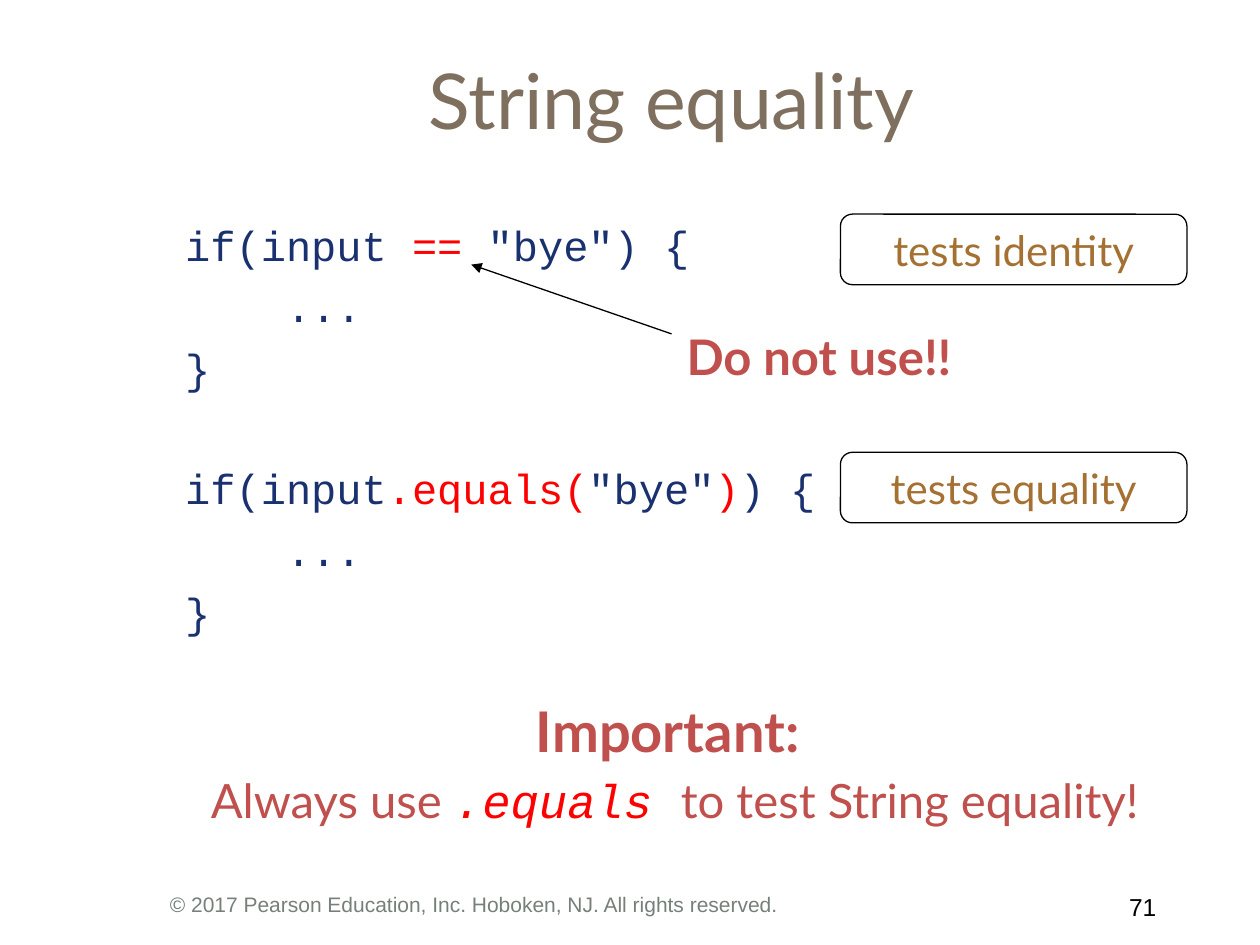
from dataclasses import dataclass

from lxml import etree
from pptx import Presentation
from pptx.dml.color import RGBColor as RGB
from pptx.enum.shapes import MSO_CONNECTOR as CONN, MSO_SHAPE as SHAPE
from pptx.enum.text import MSO_ANCHOR as ANCHOR, PP_ALIGN as ALIGN
from pptx.oxml.ns import qn
from pptx.util import Inches, Pt


@dataclass(frozen=True)
class Theme:
    """Fonts, colours and type sizes."""
    text: str = "Lato"
    code: str = "Courier New"
    small: str = "Arial"
    title: RGB = RGB.from_string("7F6F5E")
    navy: RGB = RGB.from_string("1A3170")
    red: RGB = RGB.from_string("FF0000")
    warning: RGB = RGB.from_string("C0504D")
    label: RGB = RGB.from_string("A57133")
    grey: RGB = RGB.from_string("76807A")
    black: RGB = RGB.from_string("000000")
    title_size: int = 44
    heading_size: int = 32
    callout_size: int = 28
    advice_size: int = 27
    body_size: int = 24
    number_size: int = 14
    footer_size: int = 12


T = Theme()
CODE_GAP, BLOCK_GAP, ADVICE_GAP = 6.4, 40, 34.6
CODE = [
    (0, [("if(input ", T.navy), ("==", T.red), (' "bye") {', T.navy)]),
    (CODE_GAP, [("    ...", T.navy)]),
    (CODE_GAP, [("}", T.navy)]),
    (BLOCK_GAP, [("if(input", T.navy), (".equals(", T.red), ('"bye"', T.navy),
                 (")", T.red), (") {", T.navy)]),
    (CODE_GAP, [("    ...", T.navy)]),
    (CODE_GAP, [("}", T.navy)]),
]


def set_font(font, name, size, color, bold=False):
    """Set name, size, colour and weight of a font."""
    font.name, font.size, font.bold = name, Pt(size), bold
    font.color.rgb = color


def add_box(s, box):
    """Add a wrapping text box and return its text frame."""
    tf = s.shapes.add_textbox(*map(Inches, box)).text_frame
    tf.word_wrap = True
    return tf


def add_line(s, box, text, name, size, color, bold=False, align=ALIGN.LEFT):
    """Add a text box with a single paragraph."""
    p = add_box(s, box).paragraphs[0]
    p.text, p.alignment = text, align
    set_font(p.font, name, size, color, bold)


def add_title(s, box, text):
    """Place and format the title placeholder."""
    sp = s.shapes.title
    sp.left, sp.top, sp.width, sp.height = map(Inches, box)
    tf = sp.text_frame
    tf.vertical_anchor = ANCHOR.MIDDLE
    p = tf.paragraphs[0]
    p.text, p.alignment = text, ALIGN.CENTER
    set_font(p.font, T.text, T.title_size, T.title)


def add_body(s, box):
    """Add both code blocks and the advice below them."""
    tf = add_box(s, box)
    tf.margin_left, tf.margin_right = Inches(0.14), Inches(0.26)
    p = tf.paragraphs[0]
    for i, (gap, parts) in enumerate(CODE):
        p = tf.add_paragraph() if i else p
        p.space_before = Pt(gap)
        p.font.name, p.font.size = T.code, Pt(T.body_size)
        for text, color in parts:
            r = p.add_run()
            r.text = text
            r.font.color.rgb = color
    p = tf.add_paragraph()
    p.text, p.alignment, p.space_before = "Important: ", ALIGN.CENTER, Pt(ADVICE_GAP)
    set_font(p.font, T.text, T.heading_size, T.warning, True)
    p = tf.add_paragraph()
    p.alignment, p.space_before = ALIGN.CENTER, Pt(4)
    for text, name, color in (("Always use ", T.text, T.warning),
                              (".equals ", T.code, T.red),
                              ("to test String equality!", T.text, T.warning)):
        r = p.add_run()
        r.text = text
        set_font(r.font, name, T.advice_size, color)
        r.font.italic = name == T.code


def add_label(s, box, text):
    """Add a rounded outline with a centred label."""
    sp = s.shapes.add_shape(SHAPE.ROUNDED_RECTANGLE, *map(Inches, box))
    sp.adjustments[0] = 0.17
    sp.shadow.inherit = False
    sp.fill.background()
    sp.line.color.rgb, sp.line.width = T.black, Pt(0.75)
    tf = sp.text_frame
    tf.word_wrap, tf.vertical_anchor = True, ANCHOR.MIDDLE
    tf.margin_top = tf.margin_bottom = Inches(0.04)
    p = tf.paragraphs[0]
    p.text, p.alignment = text, ALIGN.CENTER
    set_font(p.font, T.text, T.body_size, T.label)


def add_arrow(s, start, end):
    """Add a thin line with an arrowhead at its end."""
    line = s.shapes.add_connector(CONN.STRAIGHT, *map(Inches, start + end))
    line.line.color.rgb, line.line.width = T.black, Pt(0.75)
    etree.SubElement(line.line._get_or_add_ln(), qn("a:tailEnd"), type="triangle")
    etree.SubElement(line._element.spPr, qn("a:effectLst"))


def main():
    """Build and save the slide."""
    prs = Presentation()
    prs.slide_width, prs.slide_height = Inches(10), Inches(7.5)
    s = prs.slides.add_slide(prs.slide_layouts[5])
    add_title(s, (1.08, 0.42, 8.5, 0.73), "String equality")
    add_body(s, (1.33, 1.69, 8.17, 5.05))
    for top, text in ((1.7, "tests identity"), (3.59, "tests equality")):
        add_label(s, (6.67, top, 2.75, 0.56), text)
    add_line(s, (5.35, 2.54, 2.48, 0.57), "Do not use!!",
             T.text, T.callout_size, T.warning, bold=True)
    add_arrow(s, (5.33, 2.65), (3.74, 2.1))
    add_line(s, (1.25, 7.03, 7.58, 0.33),
             "© 2017 Pearson Education, Inc. Hoboken, NJ. All rights reserved.",
             T.small, T.footer_size, T.grey)
    add_line(s, (8.75, 7.03, 0.58, 0.33), "71 ",
             T.small, T.number_size, T.black, align=ALIGN.RIGHT)
    prs.save("out.pptx")


if __name__ == "__main__":
    main()
